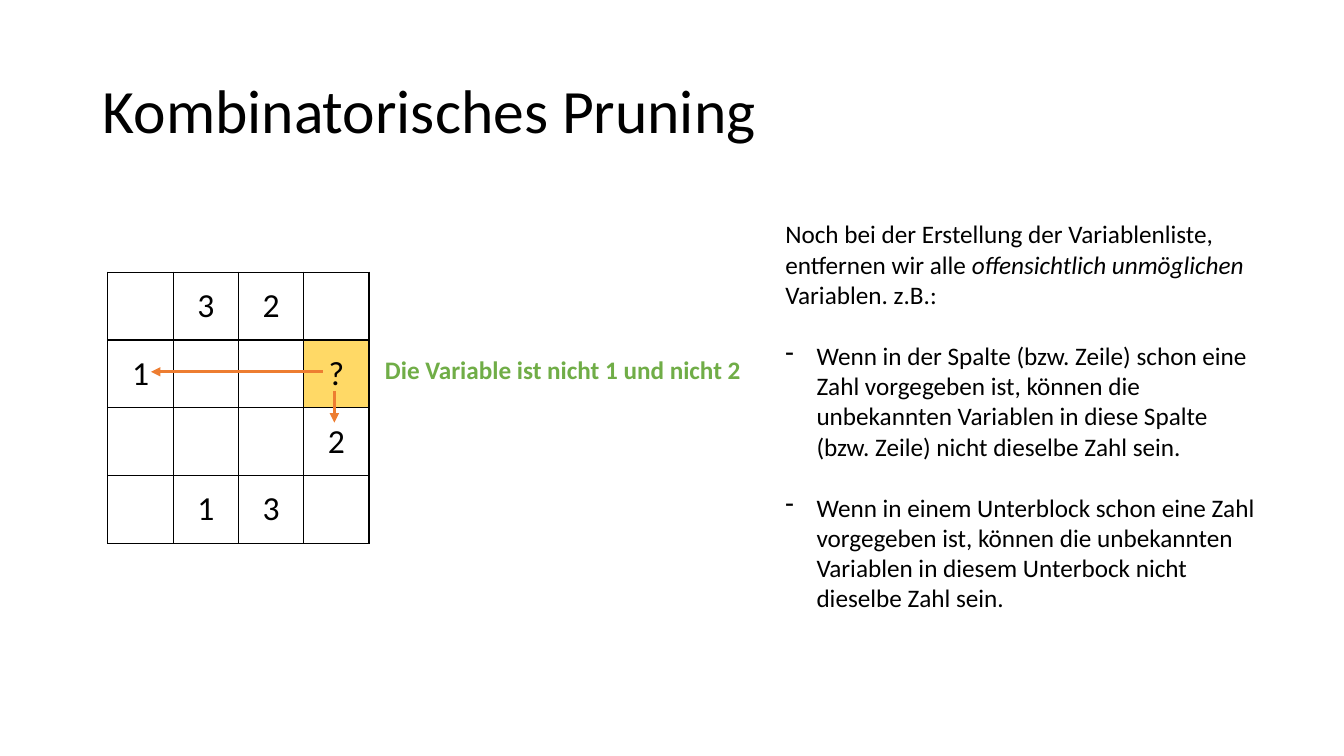
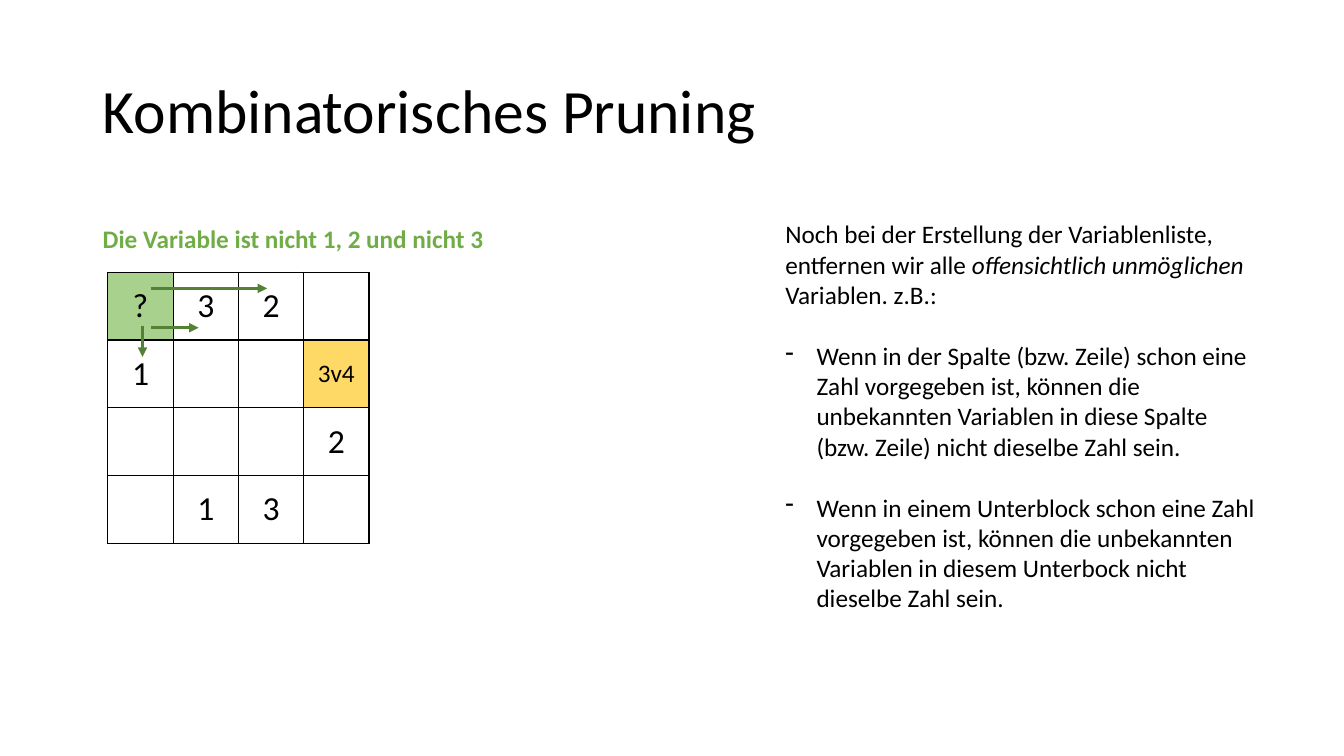
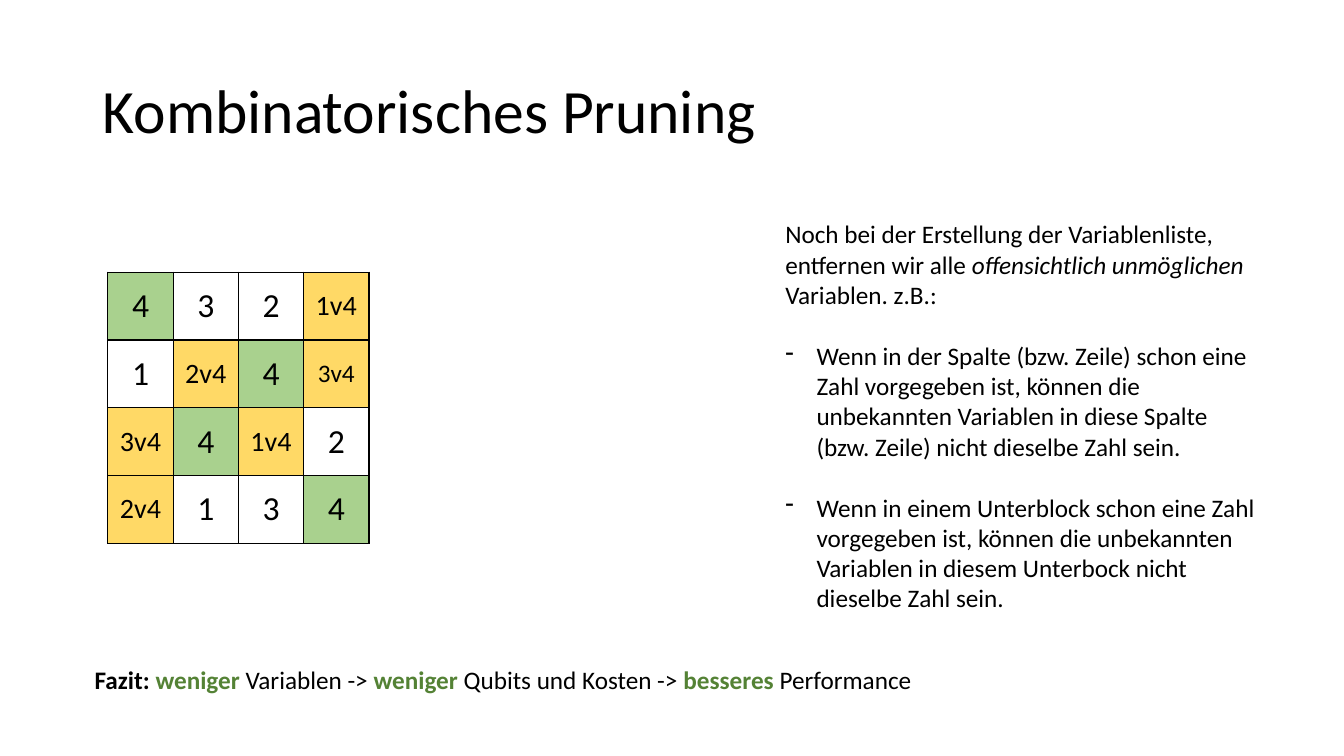
from lxml import etree
from pptx import Presentation
from pptx.dml.color import RGBColor
from pptx.enum.shapes import MSO_CONNECTOR
from pptx.enum.text import MSO_ANCHOR, PP_ALIGN
from pptx.oxml.ns import qn
from pptx.util import Inches, Pt

STRAIGHT = MSO_CONNECTOR.STRAIGHT
MIDDLE, TOP = MSO_ANCHOR.MIDDLE, MSO_ANCHOR.TOP
CENTER = PP_ALIGN.CENTER

BLACK = RGBColor(0x00, 0x00, 0x00)
WHITE = RGBColor(0xFF, 0xFF, 0xFF)
YELLOW = RGBColor(0xFF, 0xD9, 0x66)
LIGHT_GREEN = RGBColor(0xA9, 0xD1, 0x8E)
GREEN = RGBColor(0x70, 0xAD, 0x47)
DARK_GREEN = RGBColor(0x54, 0x82, 0x35)
ORANGE = RGBColor(0xED, 0x7D, 0x31)

FONT = "Calibri"
BODY_SIZE, DIGIT_SIZE, PAIR_SIZE = 18, 24, 20
LINE_GAP = Pt(22)
HANGING = Inches(0.31)

# Sudoku grid
GRID_LEFT, GRID_TOP = 1.07, 2.7
CELLS = 4
CELL_W, CELL_H = 2.59 / CELLS, 2.69 / CELLS
GIVEN_ROWS = (" 32 ", "1   ", "   2", " 13 ")

TITLE = "Kombinatorisches Pruning"
INTRO = (
    ("Noch bei der Erstellung der Variablenliste, entfernen wir alle ", {}),
    ("offensichtlich unmöglichen", {"italic": True}),
    (" Variablen. z.B.:", {}),
)
RULES = (
    "Wenn in der Spalte (bzw. Zeile) schon eine Zahl vorgegeben ist, können die "
    "unbekannten Variablen in diese Spalte (bzw. Zeile) nicht dieselbe Zahl sein.",
    "Wenn in einem Unterblock schon eine Zahl vorgegeben ist, können die unbekannten "
    "Variablen in diesem Unterbock nicht dieselbe Zahl sein.",
)
STRONG = {"bold": True, "color": DARK_GREEN}
CONCLUSION = (
    ("Fazit: ", {"bold": True}),
    ("weniger ", STRONG),
    ("Variablen -> ", {}),
    ("weniger", STRONG),
    (" Qubits und Kosten -> ", {}),
    ("besseres", STRONG),
    (" Performance", {}),
)


def add_run(paragraph, text, size=BODY_SIZE, color=BLACK, bold=False, italic=False):
    run = paragraph.add_run()
    run.text = text
    font = run.font
    font.name, font.size = FONT, Pt(size)
    font.bold, font.italic = bold, italic
    font.color.rgb = color


def add_text(slide, left, top, width, height, runs, anchor=TOP):
    """Add a text box with one paragraph of (text, format) runs."""
    box = slide.shapes.add_textbox(*map(Inches, (left, top, width, height)))
    frame = box.text_frame
    frame.word_wrap = True
    frame.vertical_anchor = anchor
    for text, style in runs:
        add_run(frame.paragraphs[0], text, **style)
    return frame


def add_caption(slide, left, top, width, text):
    add_text(slide, left, top, width, 0.4, [(text, {"bold": True, "color": GREEN})])


def add_dash_item(frame, text):
    item = frame.add_paragraph()
    properties = item._p.get_or_add_pPr()
    properties.set("marL", str(HANGING))
    properties.set("indent", str(-HANGING))
    item.space_before = LINE_GAP
    etree.SubElement(properties, qn("a:buFontTx"))
    etree.SubElement(properties, qn("a:buChar"), char="-")
    add_run(item, text)


def outline_cell(cell):
    properties = cell._tc.get_or_add_tcPr()
    for position, side in enumerate(("lnL", "lnR", "lnT", "lnB")):
        border = etree.Element(qn("a:" + side), w=str(Pt(1)))
        fill = etree.SubElement(border, qn("a:solidFill"))
        etree.SubElement(fill, qn("a:srgbClr"), val=str(BLACK))
        properties.insert(position, border)


def add_sudoku(slide, variables):
    """Draw the given digits; variables maps (row, column) to (text, fill, size)."""
    frame = slide.shapes.add_table(
        CELLS, CELLS, Inches(GRID_LEFT), Inches(GRID_TOP),
        Inches(CELLS * CELL_W), Inches(CELLS * CELL_H))
    table = frame.table
    table.first_row = table.horz_banding = False
    for row, digits in enumerate(GIVEN_ROWS):
        for column, digit in enumerate(digits):
            given = (digit.strip(), WHITE, DIGIT_SIZE)
            text, fill, size = variables.get((row, column), given)
            cell = table.cell(row, column)
            cell.vertical_anchor = MIDDLE
            cell.fill.solid()
            cell.fill.fore_color.rgb = fill
            outline_cell(cell)
            if text:
                paragraph = cell.text_frame.paragraphs[0]
                paragraph.alignment = CENTER
                add_run(paragraph, text, size)


def add_arrow(slide, start, end, color):
    """Draw an arrow between two (column, row) positions of the Sudoku grid."""
    ends = [Inches(value) for column, row in (start, end)
            for value in (GRID_LEFT + column * CELL_W, GRID_TOP + row * CELL_H)]
    arrow = slide.shapes.add_connector(STRAIGHT, *ends)
    arrow.line.color.rgb = color
    arrow.line.width = Pt(2.25)
    etree.SubElement(arrow.line._get_or_add_ln(), qn("a:tailEnd"), type="triangle")
    etree.SubElement(arrow._element.spPr, qn("a:effectLst"))


def add_pruning_slide(deck, variables, arrows=(), arrow_color=BLACK):
    """Add a slide with title, Sudoku, arrows and the pruning rules."""
    slide = deck.slides.add_slide(deck.slide_layouts[6])
    title = add_text(slide, 0.92, 0.4, 11.5, 1.45, [(TITLE, {"size": 44})], MIDDLE)
    title.paragraphs[0].line_spacing = 0.9
    add_sudoku(slide, variables)
    explanation = add_text(slide, 7.69, 2.12, 4.92, 4.34, INTRO)
    for rule in RULES:
        add_dash_item(explanation, rule)
    for start, end in arrows:
        add_arrow(slide, start, end, arrow_color)
    return slide


def main():
    deck = Presentation()
    deck.slide_width, deck.slide_height = Inches(13.33), Inches(7.5)

    slide = add_pruning_slide(
        deck, {(1, 3): ("?", YELLOW, DIGIT_SIZE)},
        [((3.47, 1.75), (3.47, 2.22)), ((3.29, 1.47), (0.66, 1.47))], ORANGE)
    add_caption(slide, 3.72, 3.47, 3.8, "Die Variable ist nicht 1 und nicht 2")

    narrowed = {(1, 3): ("3v4", YELLOW, BODY_SIZE)}
    slide = add_pruning_slide(
        deck, {**narrowed, (0, 0): ("?", LIGHT_GREEN, DIGIT_SIZE)},
        [((0.66, 0.24), (2.44, 0.24)), ((0.66, 0.82), (1.39, 0.82)),
         ((0.53, 0.8), (0.53, 1.25))], DARK_GREEN)
    add_caption(slide, 0.92, 2.17, 4.05, "Die Variable ist nicht 1, 2 und nicht 3")

    solved = {place: ("4", LIGHT_GREEN, DIGIT_SIZE)
              for place in ((0, 0), (1, 2), (2, 1), (3, 3))}
    pairs = {(0, 3): "1v4", (1, 1): "2v4", (2, 0): "3v4", (2, 2): "1v4", (3, 0): "2v4"}
    undecided = {place: (pair, YELLOW, PAIR_SIZE) for place, pair in pairs.items()}
    slide = add_pruning_slide(deck, {**narrowed, **solved, **undecided})
    add_text(slide, 0.84, 6.54, 8.4, 0.4, CONCLUSION)

    deck.save("out.pptx")


if __name__ == "__main__":
    main()
